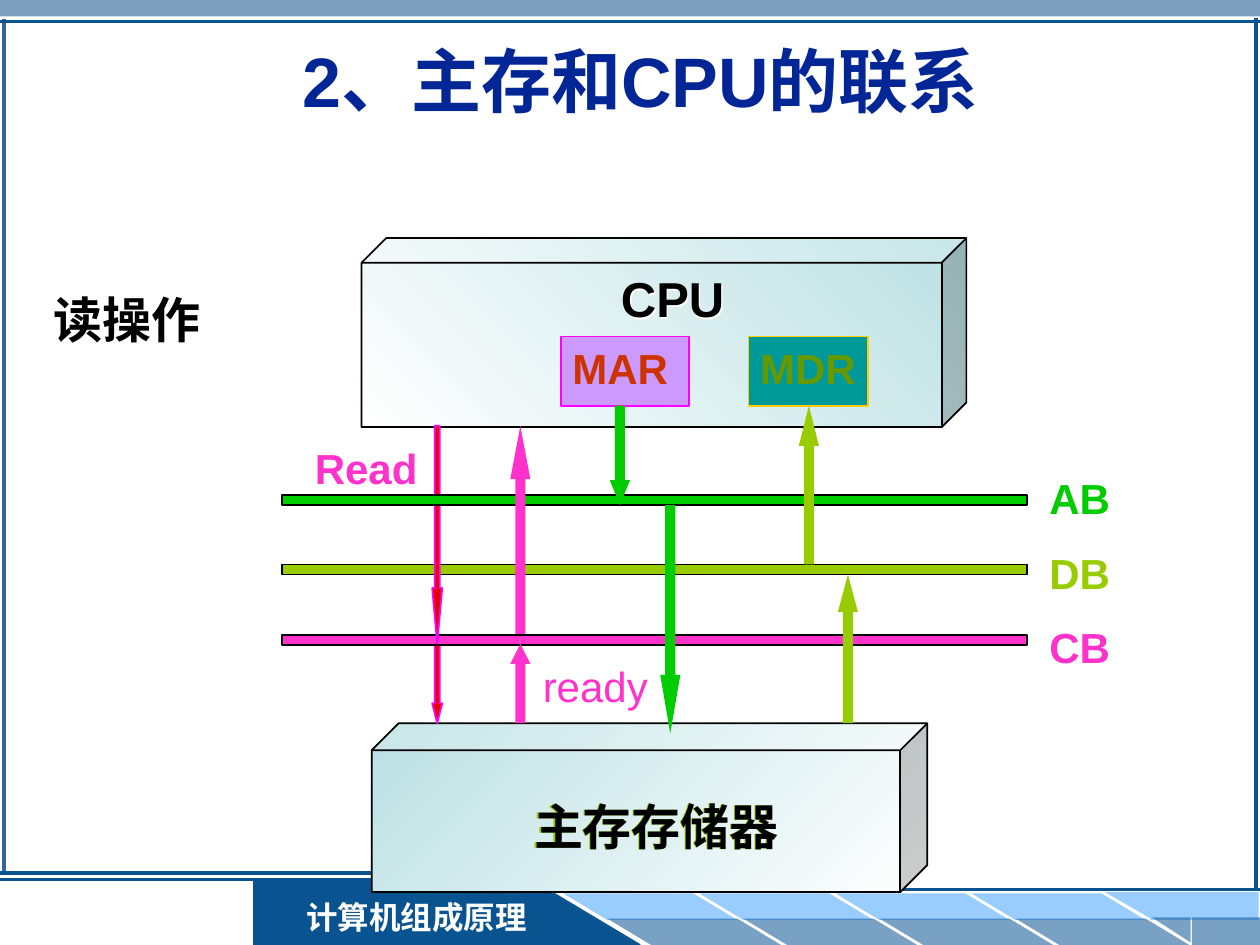
from dataclasses import dataclass
from typing import Optional

from lxml import etree
from pptx import Presentation
from pptx.dml.color import RGBColor
from pptx.enum.shapes import MSO_CONNECTOR, MSO_SHAPE
from pptx.enum.text import MSO_ANCHOR, PP_ALIGN
from pptx.oxml.ns import qn
from pptx.util import Pt

PX = 9144  # EMU in one px, 100 px to the inch
TITLE_ONLY = 5

RECT, CUBE = MSO_SHAPE.RECTANGLE, MSO_SHAPE.CUBE
SLANT, TRIANGLE = MSO_SHAPE.PARALLELOGRAM, MSO_SHAPE.RIGHT_TRIANGLE
DOWN, UP = MSO_SHAPE.DOWN_ARROW, MSO_SHAPE.UP_ARROW
STRAIGHT = MSO_CONNECTOR.STRAIGHT
LEFT, CENTER, RIGHT = PP_ALIGN.LEFT, PP_ALIGN.CENTER, PP_ALIGN.RIGHT
MIDDLE = MSO_ANCHOR.MIDDLE

WHITE = RGBColor(0xFF, 0xFF, 0xFF)
BLACK = RGBColor(0x00, 0x00, 0x00)
STEEL = RGBColor(0x33, 0x66, 0x99)
NAVY = RGBColor(0x09, 0x53, 0x91)
SKY = RGBColor(0x99, 0xCC, 0xFF)
TITLE_BLUE = RGBColor(0x03, 0x26, 0x97)
PALE_TEAL = RGBColor(0xBB, 0xE0, 0xE3)
TEAL = RGBColor(0x00, 0x99, 0x99)
GOLD = RGBColor(0xFF, 0xCC, 0x00)
LILAC = RGBColor(0xCC, 0x99, 0xFF)
MAGENTA = RGBColor(0xFF, 0x00, 0xFF)
BRICK = RGBColor(0xCC, 0x33, 0x00)
MOSS = RGBColor(0x66, 0x99, 0x00)
RED = RGBColor(0xE2, 0x00, 0x00)
GREEN = RGBColor(0x00, 0xCC, 0x00)
OLIVE = RGBColor(0x99, 0xCC, 0x00)
PINK = RGBColor(0xFF, 0x33, 0xCC)


@dataclass
class Block:
    kind: int
    box: tuple[int, int, int, int]
    fill: RGBColor
    line: Optional[RGBColor] = None
    adjust: tuple[float, ...] = ()
    alpha: int = 100
    fade_to: Optional[RGBColor] = None
    angle: int = 0
    mirrored: bool = False
    turn: int = 0


@dataclass
class Rule:
    start: tuple[int, int]
    end: tuple[int, int]
    color: RGBColor = NAVY
    width: float = 2


@dataclass
class Label:
    text: str
    box: tuple[int, int, int, int]
    color: RGBColor
    size: int = 24
    align: int = LEFT
    bold: bool = True
    font: str = "Arial"


def emu(lengths: tuple[int, ...]) -> list[int]:
    return [length * PX for length in lengths]


def draw_block(shapes, block: Block) -> None:
    shape = shapes.add_shape(block.kind, *emu(block.box))
    shape.shadow.inherit = False
    shape.rotation = block.turn
    for i, value in enumerate(block.adjust):
        shape.adjustments[i] = value
    if block.mirrored:
        shape.element.spPr.find(qn("a:xfrm")).set("flipH", "1")
    if block.fade_to is not None:
        shape.fill.gradient()
        shape.fill.gradient_angle = block.angle
        for stop, color in zip(shape.fill.gradient_stops, (block.fill, block.fade_to)):
            stop.color.rgb = color
    else:
        shape.fill.solid()
        shape.fill.fore_color.rgb = block.fill
    if block.alpha < 100:
        color = shape.element.spPr.find(qn("a:solidFill")).find(qn("a:srgbClr"))
        etree.SubElement(color, qn("a:alpha")).set("val", str(block.alpha * 1000))
    if block.line is None:
        shape.line.fill.background()
    else:
        shape.line.color.rgb = block.line
        shape.line.width = Pt(1)


def draw_rule(shapes, rule: Rule) -> None:
    connector = shapes.add_connector(STRAIGHT, *emu(rule.start + rule.end))
    connector.line.color.rgb = rule.color
    connector.line.width = Pt(rule.width)
    etree.SubElement(connector.element.spPr, qn("a:effectLst"))


def write(frame, label: Label) -> None:
    frame.word_wrap = True
    paragraph = frame.paragraphs[0]
    paragraph.alignment = label.align
    run = paragraph.add_run()
    run.text = label.text
    run.font.color.rgb = label.color
    formats = {"name": label.font, "size": Pt(label.size), "bold": label.bold}
    for name, value in formats.items():
        setattr(run.font, name, value)


def draw_label(shapes, label: Label) -> None:
    write(shapes.add_textbox(*emu(label.box)).text_frame, label)


def footer_stripes() -> list[Block]:
    stripes = []
    for i in range(4):
        left = 447 + 108 * i
        stripes += [
            Block(SLANT, (left, 709, 138, 21), SKY, adjust=(1.66,), mirrored=True),
            Block(SLANT, (left + 35, 729, 138, 21), NAVY, adjust=(1.66,),
                  alpha=54, mirrored=True),
        ]
    return stripes


FRAME = [
    Block(RECT, (0, 0, 1000, 13), STEEL, alpha=63),
    Rule((3, 15), (3, 693), STEEL),
    Block(RECT, (201, 698, 220, 52), NAVY),
    Rule((508, 750), (421, 698), width=1),
    Rule((421, 698), (0, 698), width=1.5),
    Rule((0, 693), (421, 693)),
    *footer_stripes(),
    Block(RECT, (913, 708, 86, 22), SKY),
    Block(TRIANGLE, (877, 708, 38, 22), SKY, turn=180),
    Block(RECT, (946, 728, 54, 22), NAVY, alpha=54),
    Block(TRIANGLE, (914, 728, 31, 20), NAVY, alpha=54, turn=180),
    Rule((445, 706), (1000, 706)),
    Block(TRIANGLE, (420, 698, 87, 52), NAVY),
    Rule((421, 693), (445, 706)),
    Rule((0, 17), (1000, 17)),
    Rule((997, 14), (997, 707)),
    Label("计算机组成原理", (228, 708, 205, 40), WHITE, 18, CENTER, font="Times New Roman"),
]

UNITS = [
    Block(CUBE, (287, 189, 480, 150), WHITE, BLACK, (0.13,), fade_to=PALE_TEAL, angle=45),
    Block(CUBE, (295, 574, 441, 134), PALE_TEAL, BLACK, (0.16,), fade_to=WHITE, angle=315),
    Block(RECT, (594, 267, 95, 55), TEAL, GOLD),
    Block(RECT, (445, 267, 102, 55), LILAC, MAGENTA),
]

# Buses and signals, ordered so each bus crosses its arrows correctly
BUSES = [
    Block(DOWN, (343, 511, 8, 63), RED, MAGENTA, (0.5, 1.97)),
    Block(RECT, (224, 504, 591, 8), PINK, BLACK),
    Block(RECT, (224, 448, 591, 8), OLIVE, BLACK),
    Block(DOWN, (343, 338, 8, 173), RED, MAGENTA, (0.5, 5.53)),
    Block(RECT, (224, 393, 591, 8), GREEN, BLACK),
    Block(DOWN, (484, 322, 16, 79), GREEN, adjust=(0.5, 1.25)),
    Block(DOWN, (524, 401, 16, 181), GREEN, adjust=(0.5, 2.9)),
    Block(UP, (405, 511, 16, 63), PINK, adjust=(0.5, 1)),
    Block(UP, (405, 338, 16, 165), PINK, adjust=(0.5, 2.65)),
    Block(UP, (665, 456, 16, 118), OLIVE, adjust=(0.5, 1.87)),
    Block(UP, (634, 322, 16, 126), OLIVE, adjust=(0.5, 2)),
]

# The two unit names have a coloured edge just behind them
LABELS = [
    Label("MAR", (406, 267, 134, 50), BRICK, align=RIGHT),
    Label("MDR", (579, 267, 110, 50), MOSS, align=RIGHT),
    Label("CPU", (484, 210, 118, 57), WHITE, 28),
    Label("CPU", (483, 208, 118, 57), BLACK, 28),
    Label("主存存储器", (413, 627, 236, 57), OLIVE, 28),
    Label("主存存储器", (414, 627, 236, 57), BLACK, 28),
    Label("AB", (823, 370, 102, 50), GREEN),
    Label("DB", (823, 430, 102, 50), OLIVE),
    Label("CB", (823, 488, 102, 50), PINK),
    Label("Read", (240, 346, 102, 50), PINK),
    Label("ready", (421, 519, 110, 50), PINK, bold=False),
    Label("读操作", (33, 225, 165, 57), BLACK, 28),
]
TITLE = Label("2、主存和CPU的联系", (35, 28, 947, 71), TITLE_BLUE, 40, CENTER)

DRAW = {Block: draw_block, Rule: draw_rule, Label: draw_label}


def main() -> None:
    deck = Presentation()
    deck.slide_width, deck.slide_height = emu((1000, 750))
    slide = deck.slides.add_slide(deck.slide_layouts[TITLE_ONLY])

    # Title
    heading = slide.shapes.title
    for side, value in zip(("left", "top", "width", "height"), emu(TITLE.box)):
        setattr(heading, side, value)
    heading.text_frame.vertical_anchor = MIDDLE
    write(heading.text_frame, TITLE)

    # Frame and diagram, back to front
    for part in FRAME + UNITS + BUSES + LABELS:
        DRAW[type(part)](slide.shapes, part)

    deck.save("out.pptx")


if __name__ == "__main__":
    main()
